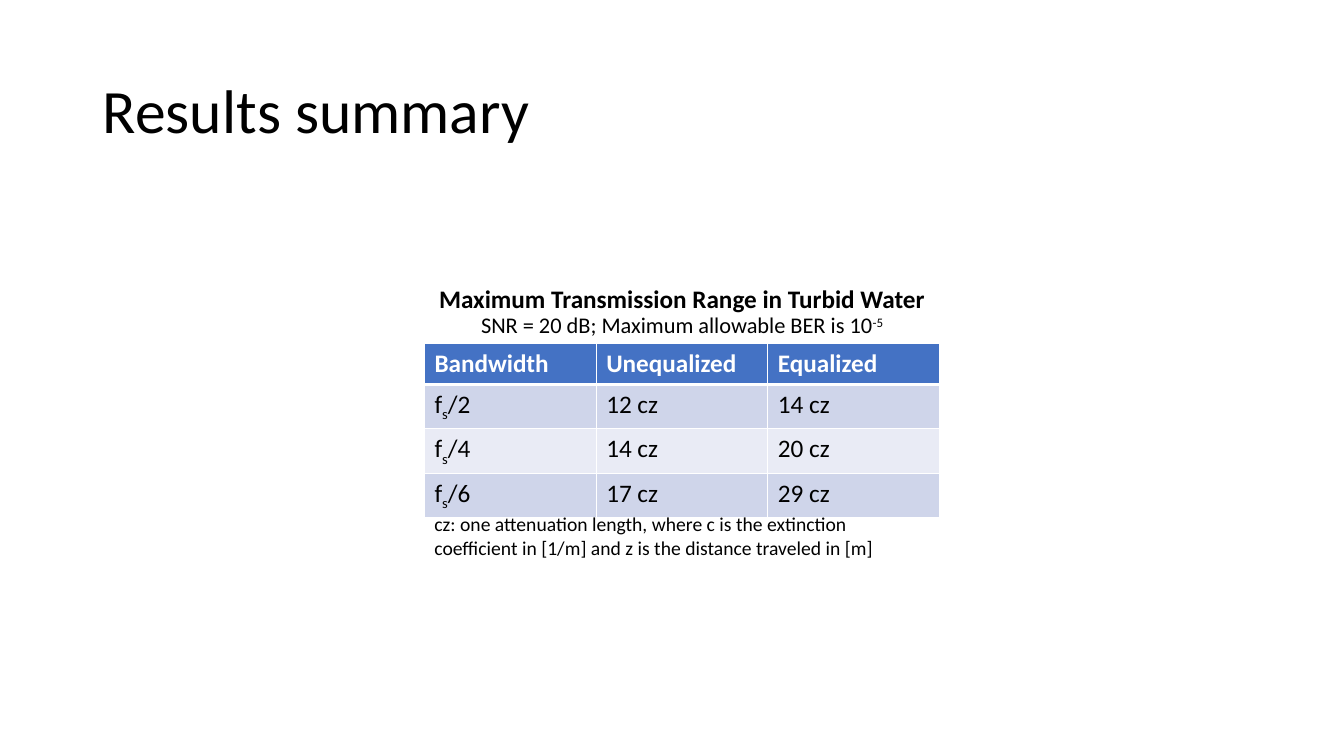
from dataclasses import dataclass

from lxml import etree
from pptx import Presentation
from pptx.dml.color import RGBColor
from pptx.enum import text as t
from pptx.oxml import ns
from pptx.util import Inches, Pt


@dataclass(frozen=True)
class Theme:
    font: str = "Calibri"
    ink: str = "000000"
    paper: str = "FFFFFF"
    header: str = "4472C4"
    bands: tuple = ("CFD5EA", "E9EBF5")
    title_size: int = 44
    table_size: int = 18
    condition_size: int = 16
    note_size: int = 14
    grid_width: int = 1
    header_rule_width: int = 3


THEME = Theme()
SUBSCRIPT, SUPERSCRIPT = -25, 30
HEADINGS = ("Bandwidth", "Unequalized", "Equalized")
RANGES = ((2, 12, 14), (4, 14, 20), (6, 17, 29))


def format_run(run, size, color=THEME.ink, bold=False, baseline=0):
    run.font.name = THEME.font
    run.font.size = Pt(size)
    run.font.bold = bold
    run.font.color.rgb = RGBColor.from_string(color)
    if baseline:
        run.font._element.set("baseline", str(baseline * 1000))


def add_run(paragraph, wording, size, **style):
    run = paragraph.add_run()
    run.text = wording
    format_run(run, size, **style)


def add_text_frame(slide, box):
    frame = slide.shapes.add_textbox(*map(Inches, box)).text_frame
    frame.word_wrap = True
    return frame


def place_title(slide, box, wording):
    title = slide.shapes.title
    title.left, title.top, title.width, title.height = map(Inches, box)
    frame = title.text_frame
    frame.text = wording
    frame.auto_size = t.MSO_AUTO_SIZE.NONE
    frame.vertical_anchor = t.MSO_ANCHOR.MIDDLE
    heading = frame.paragraphs[0]
    heading.alignment = t.PP_ALIGN.LEFT
    heading.line_spacing = 0.9
    format_run(heading.runs[0], THEME.title_size)


def add_caption(slide, box):
    caption = add_text_frame(slide, box).paragraphs[0]
    caption.alignment = t.PP_ALIGN.CENTER
    caption.line_spacing = 0.9
    caption.space_before = Pt(10)
    add_run(caption, "Maximum Transmission Range in Turbid Water",
            THEME.table_size, bold=True)
    caption.add_line_break()
    add_run(caption, "SNR = 20 dB; Maximum allowable BER is 10",
            THEME.condition_size)
    add_run(caption, "-5", THEME.condition_size, baseline=SUPERSCRIPT)


def set_borders(cell, **widths):
    """Draw cell borders; widths in points are keyed by side: L, R, T, B."""
    properties = cell._tc.get_or_add_tcPr()
    for position, side in enumerate("LRTB"):
        line = etree.Element(ns.qn(f"a:ln{side}"),
                             w=str(Pt(widths.get(side, THEME.grid_width))))
        fill = etree.SubElement(line, ns.qn("a:solidFill"))
        etree.SubElement(fill, ns.qn("a:srgbClr"), val=THEME.paper)
        properties.insert(position, line)


def fill_cell(cell, fill, parts, **style):
    """Write (wording, baseline) parts into a filled cell."""
    cell.fill.solid()
    cell.fill.fore_color.rgb = RGBColor.from_string(fill)
    for wording, baseline in parts:
        add_run(cell.text_frame.paragraphs[0], wording, THEME.table_size,
                baseline=baseline, **style)


def add_range_table(slide, box):
    left, top, width, height = map(Inches, box)
    row_count, column_count = len(RANGES) + 1, len(HEADINGS)
    table = slide.shapes.add_table(
        row_count, column_count, left, top, width, height).table

    for column, heading in enumerate(HEADINGS):
        cell = table.cell(0, column)
        fill_cell(cell, THEME.header, [(heading, 0)],
                  color=THEME.paper, bold=True)
        set_borders(cell, B=THEME.header_rule_width)

    for row, (divisor, *ranges) in enumerate(RANGES, start=1):
        bandwidth = [("f", 0), ("s", SUBSCRIPT), (f"/{divisor}", 0)]
        entries = [bandwidth] + [[(f"{reach} cz", 0)] for reach in ranges]
        band = THEME.bands[(row - 1) % 2]
        top_rule = THEME.header_rule_width if row == 1 else THEME.grid_width
        for column, parts in enumerate(entries):
            cell = table.cell(row, column)
            fill_cell(cell, band, parts)
            set_borders(cell, T=top_rule)


def add_note(slide, box):
    frame = add_text_frame(slide, box)
    frame.auto_size = t.MSO_AUTO_SIZE.SHAPE_TO_FIT_TEXT
    frame.text = ("cz: one attenuation length, where c is the extinction "
                  "coefficient in [1/m] and z is the distance traveled in [m]")
    format_run(frame.paragraphs[0].runs[0], THEME.note_size)


def add_results(slide, box):
    """Stack caption, table and note in one column."""
    left, top, width, _ = box
    table_top, table_height = top + 0.61, 1.62
    add_range_table(slide, (left, table_top, width, table_height))
    add_caption(slide, (left, top, width, 0.63))
    add_note(slide, (left, table_top + table_height, width, 0.57))


def main():
    deck = Presentation()
    deck.slide_width, deck.slide_height = Inches(13.33), Inches(7.5)
    slide = deck.slides.add_slide(deck.slide_layouts.get_by_name("Title Only"))
    place_title(slide, (0.92, 0.4, 11.5, 1.45), "Results summary")
    add_results(slide, (4.21, 2.8, 5.11, 2.8))
    deck.save("out.pptx")


if __name__ == "__main__":
    main()
